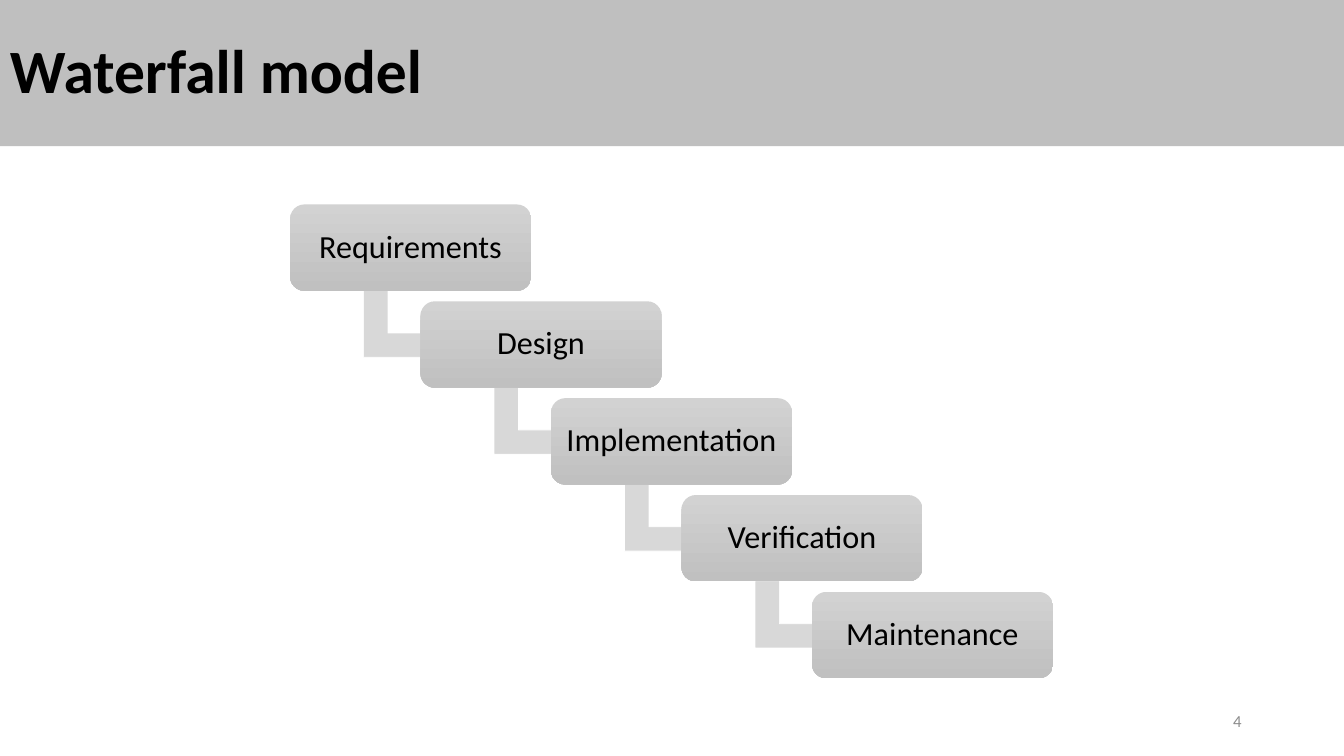
from pptx import Presentation
from pptx.dml.color import RGBColor
from pptx.enum.shapes import MSO_SHAPE
from pptx.enum.text import MSO_ANCHOR, PP_ALIGN
from pptx.util import Pt


def color(value):
    return RGBColor.from_string(value)


class SlideBuilder:
    font = "Calibri"
    ink = "000000"

    def __init__(self, page):
        self.page = page

    def set_text(self, box, text, size, align, ink=ink, bold=False, spacing=0.9):
        frame = box.text_frame
        frame.word_wrap = True
        frame.vertical_anchor = MSO_ANCHOR.MIDDLE
        para = frame.paragraphs[0]
        para.text = text
        para.alignment = align
        para.line_spacing = spacing
        para.font.name = self.font
        para.font.size = Pt(size)
        para.font.bold = bold
        para.font.color.rgb = color(ink)

    def shape(self, kind, left, top, width, height, fill):
        shape = self.page.shapes.add_shape(
            kind, Pt(left), Pt(top), Pt(width), Pt(height))
        shape.shadow.inherit = False
        shape.fill.solid()
        shape.fill.fore_color.rgb = color(fill)
        shape.line.fill.background()
        return shape

    def title(self, text, width, height):
        banner = self.shape(MSO_SHAPE.RECTANGLE, 0, 0, width, height, "BFBFBF")
        self.set_text(banner, text, 44, PP_ALIGN.LEFT, bold=True)

    def phase(self, text, left, top, width, height):
        box = self.shape(
            MSO_SHAPE.ROUNDED_RECTANGLE, left, top, width, height, "C8C8C8")
        box.fill.gradient()
        box.fill.gradient_angle = 270
        for stop, shade in zip(box.fill.gradient_stops, ("D2D2D2", "C0C0C0")):
            stop.color.rgb = color(shade)
        frame = box.text_frame
        frame.margin_left = frame.margin_right = Pt(7.2)
        frame.margin_top = frame.margin_bottom = Pt(7.2)
        self.set_text(box, text, 23, PP_ALIGN.CENTER)

    def elbow_arrow(self, left, top, width, height):
        arrow = self.shape(
            MSO_SHAPE.BENT_UP_ARROW, left, top, width, height, "D8D8D8")
        arrow.rotation = 90
        for index, value in enumerate((0.33, 0.25, 0.36)):
            arrow.adjustments[index] = value
        arrow.line.color.rgb = color("FFFFFF")
        arrow.line.width = Pt(0.5)

    def label(self, text, left, top, width, height, size, ink):
        box = self.page.shapes.add_textbox(
            Pt(left), Pt(top), Pt(width), Pt(height))
        self.set_text(box, text, size, PP_ALIGN.RIGHT, ink, spacing=1.0)


deck = Presentation()
deck.slide_width = Pt(960)
deck.slide_height = Pt(540)
builder = SlideBuilder(deck.slides.add_slide(deck.slide_layouts[6]))

phases = ["Requirements", "Design", "Implementation", "Verification", "Maintenance"]
first_left, first_top = 207.2, 146
step_across, step_down = 93.2, 69.2

for index, phase in enumerate(phases):
    left = first_left + index * step_across
    top = first_top + index * step_down
    if phase != phases[-1]:
        builder.elbow_arrow(left + 56.2, top + 57.6, 52.5, 59.8)
    builder.phase(phase, left, top, 172.3, 61.7)

builder.label("4", 678, 500.5, 216, 28.8, 12, "8C8C8C")
builder.title("Waterfall model", 960, 104.4)

deck.save("out.pptx")
